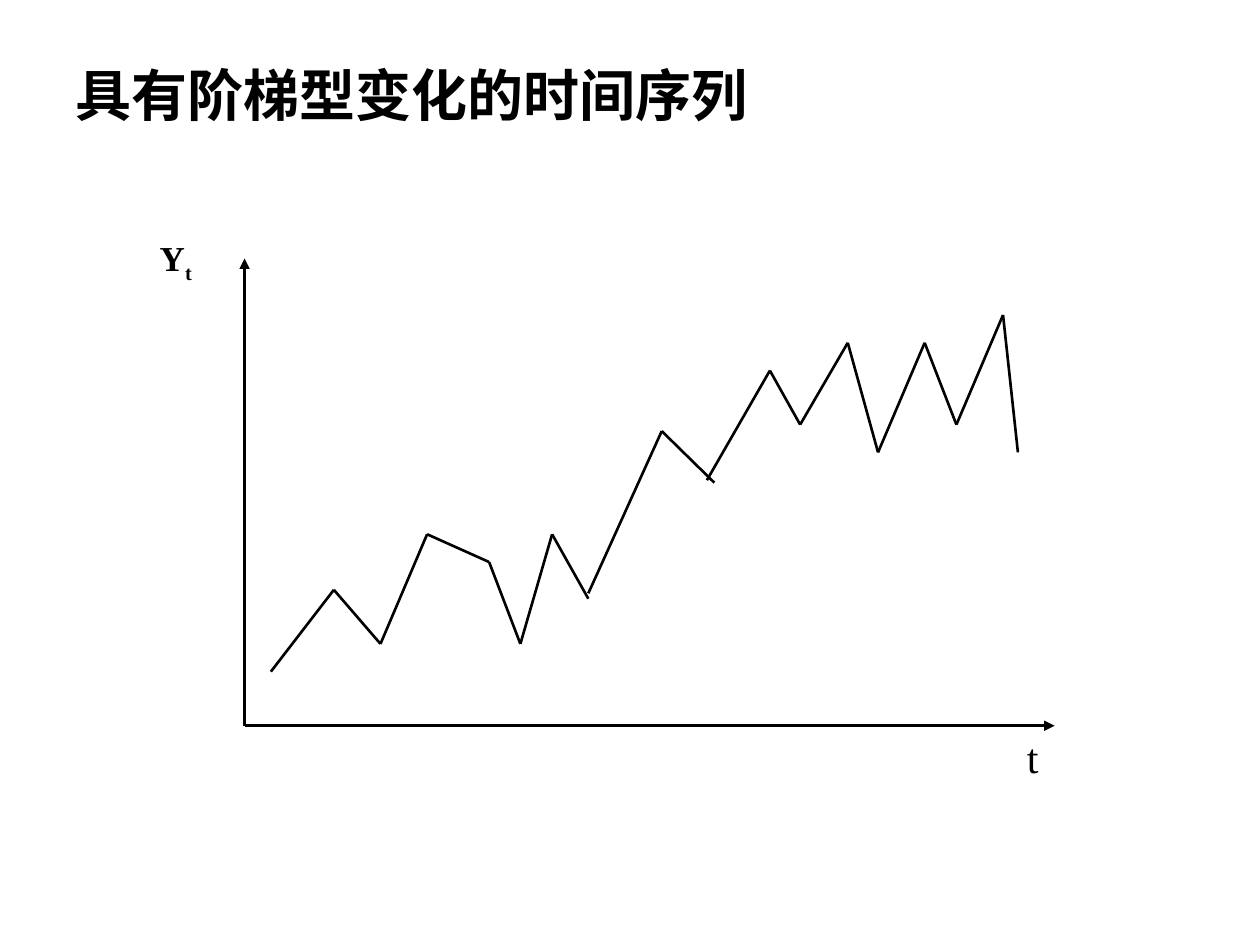
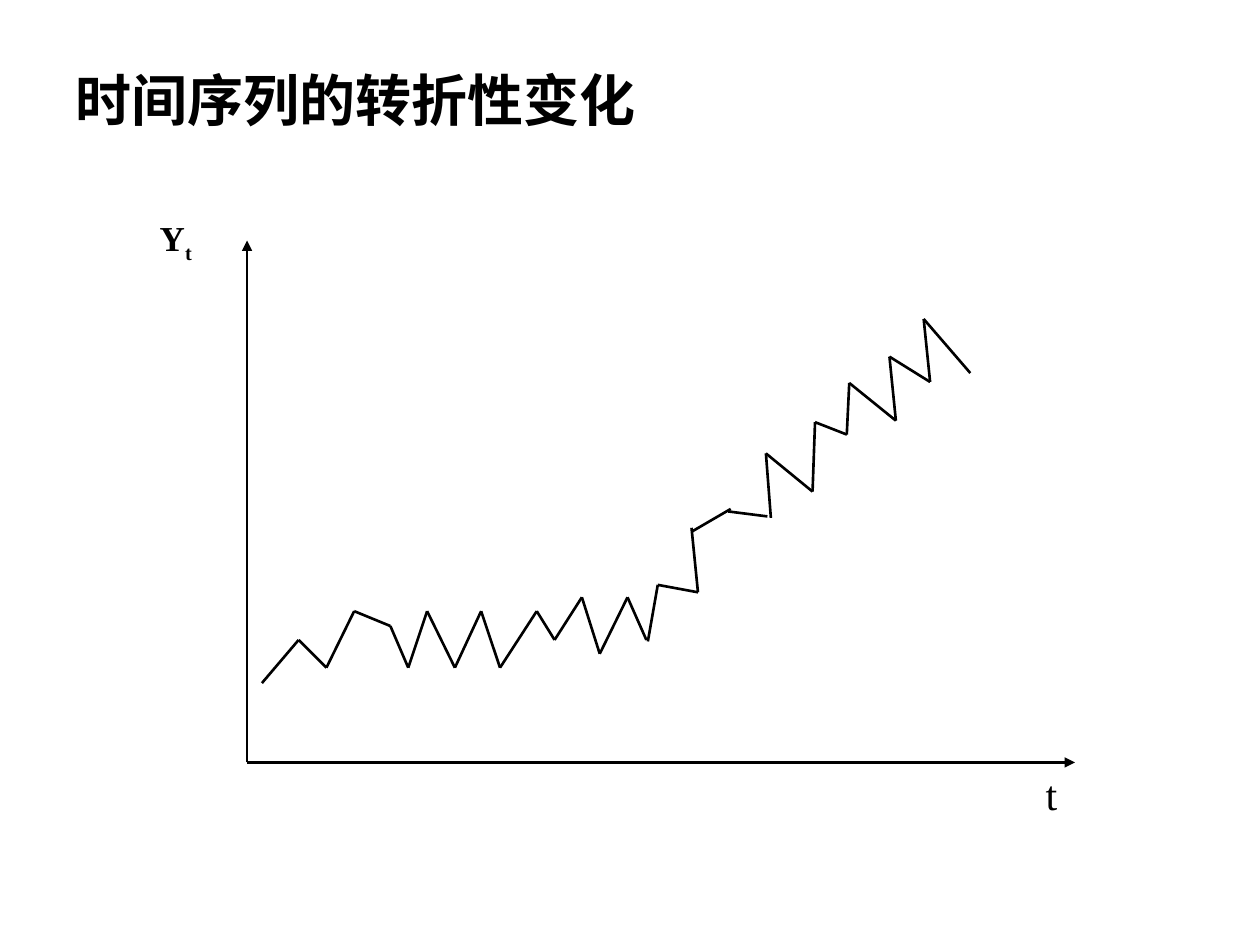
from itertools import pairwise

from lxml.etree import SubElement
from pptx import Presentation
from pptx.dml.color import RGBColor as Rgb
from pptx.enum.shapes import MSO_CONNECTOR as Link
from pptx.enum.text import MSO_ANCHOR as Anchor
from pptx.oxml.ns import qn
from pptx.util import Cm, Pt

INK = {"line": "000000", "text": "000000"}

# Lengths in cm; each trace is a list of unbroken runs of points.
PLOTS = [
    {
        "title": "具有阶梯型变化的时间序列", "high": 1.27,
        "zero": (4.93, 14.63), "top": 5.21, "right": 21.26,
        "ylab": (2.97, 4.65), "tlab": (20.45, 14.63),
        "trace": [
            [(5.46, 13.54), (6.73, 11.89), (7.67, 12.98), (8.61, 10.77),
             (9.86, 11.33), (10.49, 12.98), (11.13, 10.77), (11.86, 12.07)],
            [(11.86, 11.96), (13.34, 8.69), (14.4, 9.73)],
            [(14.25, 9.68), (15.52, 7.47), (16.13, 8.56), (17.09, 6.91),
             (17.7, 9.12), (18.64, 6.91), (19.28, 8.56), (20.22, 6.35),
             (20.52, 9.12)],
        ],
    },
    {
        "title": "时间序列的转折性变化", "high": 1.47,
        "zero": (4.98, 15.37), "top": 4.85, "right": 21.67,
        "ylab": (2.97, 4.24), "tlab": (20.83, 15.37),
        "trace": [
            [(5.28, 13.77), (6.02, 12.9), (6.58, 13.46), (7.14, 12.32),
             (7.87, 12.62), (8.23, 13.46), (8.61, 12.32), (9.17, 13.46),
             (9.7, 12.32), (10.08, 13.46), (10.82, 12.32), (11.18, 12.9),
             (11.73, 12.04), (12.09, 13.18), (12.65, 12.04), (13.03, 12.9)],
            [(13.06, 12.93), (13.26, 11.79), (14.07, 11.94), (13.94, 10.64)],
            [(13.94, 10.72), (14.73, 10.26)],
            [(14.68, 10.31), (15.47, 10.41)],
            [(15.54, 10.44), (15.44, 9.14), (16.38, 9.91), (16.43, 8.51),
             (17.07, 8.76), (17.12, 7.72), (18.06, 8.48), (17.93, 7.19),
             (18.75, 7.7), (18.62, 6.43), (19.56, 7.52)],
        ],
    },
]


def add_line(slide, start, end, arrow=False):
    line = slide.shapes.add_connector(
        Link.STRAIGHT, *(Cm(v) for v in (*start, *end)))
    line.line.width = Pt(1.5)
    line.line.color.rgb = Rgb.from_string(INK["line"])
    if arrow:
        SubElement(line.line._get_or_add_ln(), qn("a:tailEnd"), type="triangle")
    SubElement(line._element.spPr, qn("a:effectLst"))


def add_text(slide, words, spot, size, face, points, bold=True):
    """Add a one-line text box and return it with its paragraph."""
    box = slide.shapes.add_textbox(*(Cm(v) for v in (*spot, *size)))
    box.text_frame.word_wrap = True
    para = box.text_frame.paragraphs[0]
    para.add_run().text = words
    para.font.name = face
    para.font.size = Pt(points)
    para.font.bold = bold
    para.font.color.rgb = Rgb.from_string(INK["text"])
    return box, para


deck = Presentation()
deck.slide_width, deck.slide_height = Cm(25.4), Cm(19.05)

for plot in PLOTS:
    slide = deck.slides.add_slide(deck.slide_layouts[6])
    title, _ = add_text(slide, plot["title"], (1.27, 1.27),
                        (22.86, plot["high"]), "Arial", 32)
    title.text_frame.vertical_anchor = Anchor.MIDDLE

    left, base = plot["zero"]
    for tip in [(left, plot["top"]), (plot["right"], base)]:
        add_line(slide, plot["zero"], tip, arrow=True)

    _, para = add_text(slide, "Y", plot["ylab"], (2, 1.22),
                       "Times New Roman", 20)
    sub = para.add_run()
    sub.text = "t"
    sub._r.get_or_add_rPr().set("baseline", "-25000")
    add_text(slide, "t", plot["tlab"], (1.4, 1.27),
             "Times New Roman", 24, bold=False)

    for run in plot["trace"]:
        for start, end in pairwise(run):
            add_line(slide, start, end)

deck.save("out.pptx")
